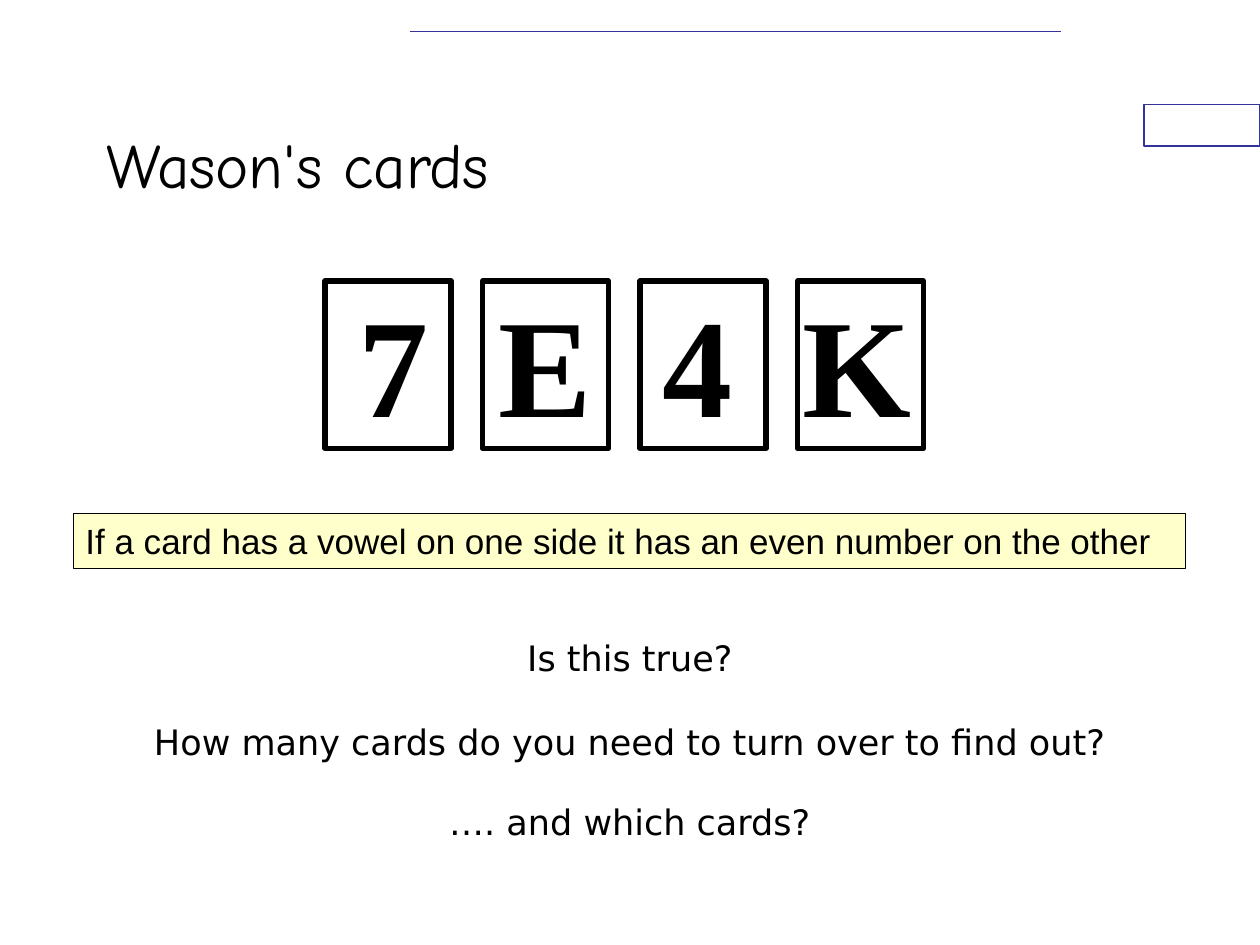
from dataclasses import dataclass

from lxml.etree import SubElement
from pptx import Presentation
from pptx.dml.color import RGBColor
from pptx.enum.shapes import MSO_CONNECTOR, MSO_SHAPE
from pptx.enum.text import MSO_ANCHOR, PP_ALIGN
from pptx.oxml.ns import qn
from pptx.util import Inches, Pt

BLACK = "000000"
BLUE = "333399"


@dataclass
class Box:
    """A rectangle on the page, in inches."""
    left: float
    top: float
    width: float
    height: float

    def lengths(self):
        """Return the four values as lengths."""
        return [Inches(value) for value in (self.left, self.top, self.width, self.height)]


@dataclass
class Style:
    """The type settings of a paragraph."""
    font: str
    size: float
    bold: bool = False
    align: PP_ALIGN = PP_ALIGN.LEFT


@dataclass
class Question:
    """A line of the closing questions with the gap above it in points."""
    text: str
    gap: float


QUESTIONS = [
    Question("Is this true?", 0),
    Question("How many cards do you need to turn over to find out?", 24),
    Question("…. and which cards?", 22),
]
CARD_FACES = ["7", "E", "4", "K"]
FACE_STOPS = [1.11, 2.41, 3.52]


def colour(code: str) -> RGBColor:
    """Turn a hex string into a colour."""
    return RGBColor.from_string(code)


def add_rectangle(page, box: Box, line: str, weight: float, fill: str = ""):
    """Draw an outlined rectangle, filled when a fill is given."""
    shape = page.shapes.add_shape(MSO_SHAPE.RECTANGLE, *box.lengths())
    shape.shadow.inherit = False
    if fill:
        shape.fill.solid()
        shape.fill.fore_color.rgb = colour(fill)
    else:
        shape.fill.background()
    shape.line.color.rgb = colour(line)
    shape.line.width = Pt(weight)
    return shape


def add_rule(page, left: float, right: float, top: float) -> None:
    """Draw the thin horizontal line at the head of the page."""
    rule = page.shapes.add_connector(
        MSO_CONNECTOR.STRAIGHT, Inches(left), Inches(top), Inches(right), Inches(top))
    rule.line.color.rgb = colour(BLUE)
    rule.line.width = Pt(1)
    SubElement(rule._element.spPr, qn("a:effectLst"))


def write(para, text: str, style: Style) -> None:
    """Put styled text into a paragraph."""
    para.text = text
    para.alignment = style.align
    para.font.name = style.font
    para.font.size = Pt(style.size)
    para.font.bold = style.bold
    para.font.color.rgb = colour(BLACK)


def add_text_frame(page, box: Box, anchor: MSO_ANCHOR):
    """Add a wrapping text box and return its frame."""
    frame = page.shapes.add_textbox(*box.lengths()).text_frame
    frame.word_wrap = True
    frame.vertical_anchor = anchor
    return frame


def add_cards(page) -> None:
    """Draw the row of cards and set their faces on tab stops."""
    for index in range(len(CARD_FACES)):
        add_rectangle(page, Box(2.58 + 1.25 * index, 2.23, 1, 1.33), BLACK, 3)
    frame = add_text_frame(page, Box(2.75, 2.15, 4.59, 1.43), MSO_ANCHOR.TOP)
    frame.margin_right = 0
    para = frame.paragraphs[0]
    write(para, "\t".join(CARD_FACES), Style("Times New Roman", 80, bold=True))
    stops = SubElement(para._p.get_or_add_pPr(), qn("a:tabLst"))
    para._p.pPr.find(qn("a:defRPr")).addprevious(stops)
    for stop in FACE_STOPS:
        SubElement(stops, qn("a:tab"), pos=str(Inches(stop)), algn="l")


def add_questions(page) -> None:
    """Write the centred questions below the statement."""
    frame = add_text_frame(page, Box(0.75, 5, 8.5, 1.92), MSO_ANCHOR.TOP)
    style = Style("DejaVu Sans", 20, align=PP_ALIGN.CENTER)
    for index, question in enumerate(QUESTIONS):
        para = frame.add_paragraph() if index else frame.paragraphs[0]
        write(para, question.text, style)
        para.space_before = Pt(question.gap)


def main() -> None:
    """Build the page and save the deck."""
    deck = Presentation()
    deck.slide_width, deck.slide_height = Inches(10), Inches(7.5)
    page = deck.slides.add_slide(deck.slide_layouts[6])

    add_rectangle(page, Box(9.08, 0.83, 0.92, 0.33), BLUE, 0.75, "FFFFFF")
    add_rule(page, 3.25, 8.42, 0.25)

    title = add_text_frame(page, Box(0.75, 0.67, 7.5, 1.25), MSO_ANCHOR.MIDDLE)
    write(title.paragraphs[0], "Wason's cards", Style("Comic Neue", 36))

    add_questions(page)

    statement = add_rectangle(page, Box(0.58, 4.07, 8.83, 0.44), BLACK, 0.25, "FFFFCC")
    statement.text_frame.word_wrap = True
    write(statement.text_frame.paragraphs[0],
          "If a card has a vowel on one side it has an even number on the other",
          Style("Arial", 20))

    add_cards(page)
    deck.save("out.pptx")


if __name__ == "__main__":
    main()
